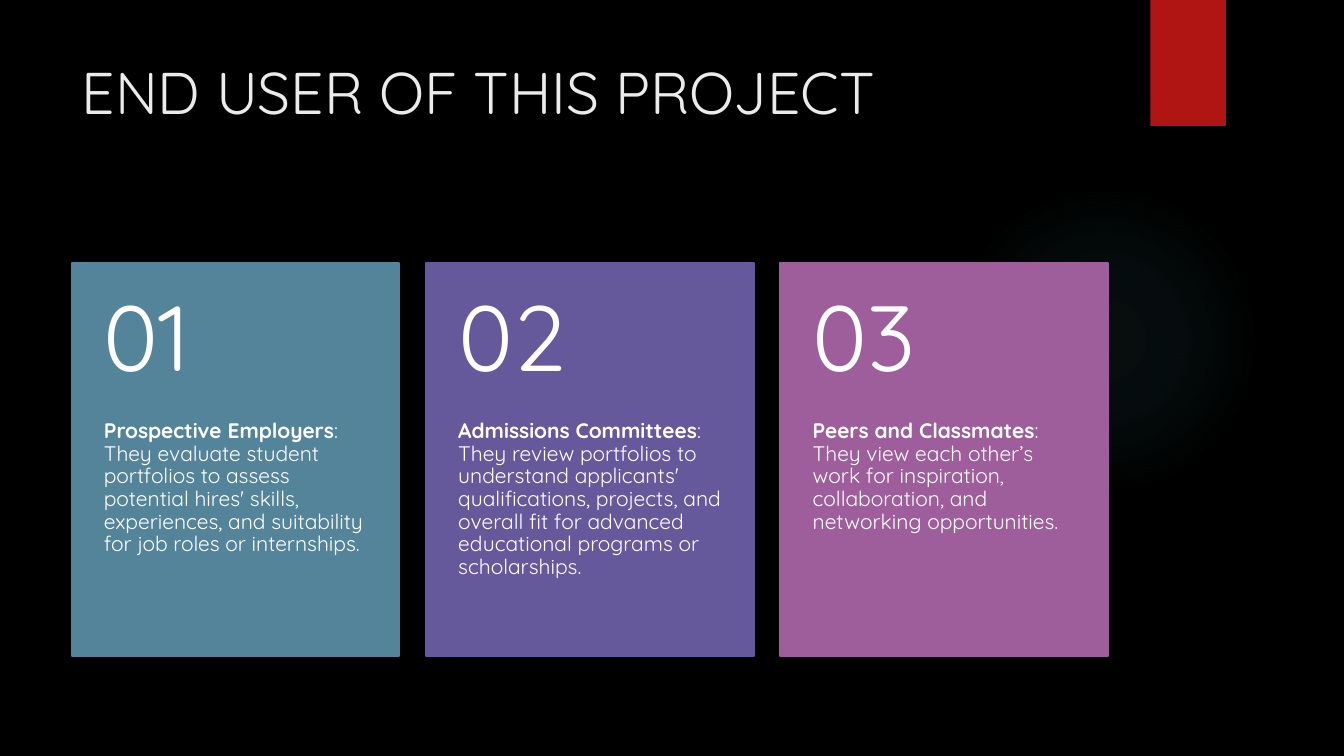
from lxml import etree
from pptx import Presentation
from pptx.dml.color import RGBColor
from pptx.enum.shapes import MSO_SHAPE
from pptx.enum.text import MSO_ANCHOR, MSO_AUTO_SIZE, PP_ALIGN
from pptx.oxml import parse_xml
from pptx.util import Inches, Pt

RECTANGLE, OVAL = MSO_SHAPE.RECTANGLE, MSO_SHAPE.OVAL
TOP, MIDDLE = MSO_ANCHOR.TOP, MSO_ANCHOR.MIDDLE
LEFT = PP_ALIGN.LEFT
NO_AUTOFIT = MSO_AUTO_SIZE.NONE
TITLE_ONLY = 5

BLACK = RGBColor(0x00, 0x00, 0x00)
WHITE = RGBColor(0xFF, 0xFF, 0xFF)
TITLE_GREY = RGBColor(0xEB, 0xEB, 0xEB)
RIBBON_RED = RGBColor(0xB0, 0x15, 0x13)
GLOW_TEAL = RGBColor(0x50, 0xB9, 0xC1)
TEAL = RGBColor(0x54, 0x84, 0x9A)
VIOLET = RGBColor(0x65, 0x59, 0x9C)
MAGENTA = RGBColor(0x9E, 0x5E, 0x9B)

FONT = "Quicksand"
DRAWING_NS = "http://schemas.openxmlformats.org/drawingml/2006/main"
GLOW_STOPS = [(0, 7), (36, 6), (69, 0)]  # position %, opacity %

CARD_LEFT, CARD_TOP = 0.71, 2.61
CARD_WIDTH, CARD_HEIGHT = 3.25, 3.9
CARD_STEP = 3.515
NUMBER_SHARE = 0.4  # part of the card height that holds the number

END_USERS = [
    (TEAL, "Prospective Employers",
     ": They evaluate student portfolios to assess potential hires' skills, "
     "experiences, and suitability for job roles or internships."),
    (VIOLET, "Admissions Committees",
     ": They review portfolios to understand applicants' qualifications, "
     "projects, and overall fit for advanced educational programs or scholarships."),
    (MAGENTA, "Peers and Classmates",
     ": They view each other’s work for inspiration, collaboration, "
     "and networking opportunities."),
]


def apply_format(target, values):
    for name, value in values.items():
        setattr(target, name, value)


def add_run(paragraph, text, size, color, bold=False):
    run = paragraph.add_run()
    run.text = text
    apply_format(run.font, {"name": FONT, "size": Pt(size), "bold": bold})
    run.font.color.rgb = color


def add_block(slide, preset, box, color):
    block = slide.shapes.add_shape(preset, *map(Inches, box))
    block.shadow.inherit = False
    block.fill.solid()
    block.fill.fore_color.rgb = color
    block.line.fill.background()
    return block


def add_glow(slide, box):
    glow = add_block(slide, OVAL, box, GLOW_TEAL)
    stops = "".join(
        f'<a:gs pos="{position * 1000}"><a:srgbClr val="{GLOW_TEAL}">'
        f'<a:alpha val="{opacity * 1000}"/></a:srgbClr></a:gs>'
        for position, opacity in GLOW_STOPS)
    gradient = parse_xml(
        f'<a:gradFill xmlns:a="{DRAWING_NS}"><a:gsLst>{stops}</a:gsLst>'
        '<a:path path="circle"><a:fillToRect l="50000" t="50000" r="50000" b="50000"/>'
        '</a:path></a:gradFill>')
    properties = glow.fill._xPr
    solid = properties.find(etree.QName(DRAWING_NS, "solidFill"))
    properties.replace(solid, gradient)


def add_title(slide, box, text):
    title = slide.shapes.title
    left, top, width, height = map(Inches, box)
    apply_format(title, {"left": left, "top": top, "width": width, "height": height})
    apply_format(title.text_frame, {
        "vertical_anchor": TOP, "word_wrap": True, "auto_size": NO_AUTOFIT})
    paragraph = title.text_frame.paragraphs[0]
    paragraph.alignment = LEFT
    add_run(paragraph, text, 42, TITLE_GREY)


def add_card_text(slide, box, anchor, top_inset, bottom_inset):
    frame = slide.shapes.add_textbox(*map(Inches, box)).text_frame
    apply_format(frame, {
        "word_wrap": True, "vertical_anchor": anchor,
        "margin_left": Inches(0.32), "margin_right": Inches(0.32),
        "margin_top": Inches(top_inset), "margin_bottom": Inches(bottom_inset)})
    paragraph = frame.paragraphs[0]
    apply_format(paragraph, {"line_spacing": 0.9, "alignment": LEFT})
    return paragraph


def add_card(slide, box, number, color, audience, description):
    left, top, width, height = box
    number_height = height * NUMBER_SHARE

    # Panel
    panel = add_block(slide, RECTANGLE, box, color)
    panel.line.color.rgb = color
    panel.line.width = Pt(1.5)

    # Audience and what they do
    body_box = (left, top + number_height, width, height - number_height)
    body = add_card_text(slide, body_box, TOP, 0, 0.36)
    add_run(body, audience, 15, WHITE, bold=True)
    add_run(body, description, 15, WHITE)

    # Number
    number_box = (left, top, width, number_height)
    heading = add_card_text(slide, number_box, MIDDLE, 0.18, 0.18)
    add_run(heading, f"{number:02d}", 66, WHITE)


def main():
    presentation = Presentation()
    presentation.slide_width = Inches(13.33)
    presentation.slide_height = Inches(7.5)
    slide = presentation.slides.add_slide(presentation.slide_layouts[TITLE_ONLY])
    slide.background.fill.solid()
    slide.background.fill.fore_color.rgb = BLACK

    # Backdrop
    add_glow(slide, (9.41, 1.83, 3.08, 3.08))
    add_block(slide, RECTANGLE, (11.41, 0, 0.75, 1.25), RIBBON_RED)

    add_title(slide, (0.71, 0.5, 10.29, 1.53), "END USER OF THIS PROJECT")

    # One card per end user
    for index, (color, audience, description) in enumerate(END_USERS):
        box = (CARD_LEFT + index * CARD_STEP, CARD_TOP, CARD_WIDTH, CARD_HEIGHT)
        add_card(slide, box, index + 1, color, audience, description)

    presentation.save("out.pptx")


if __name__ == "__main__":
    main()
